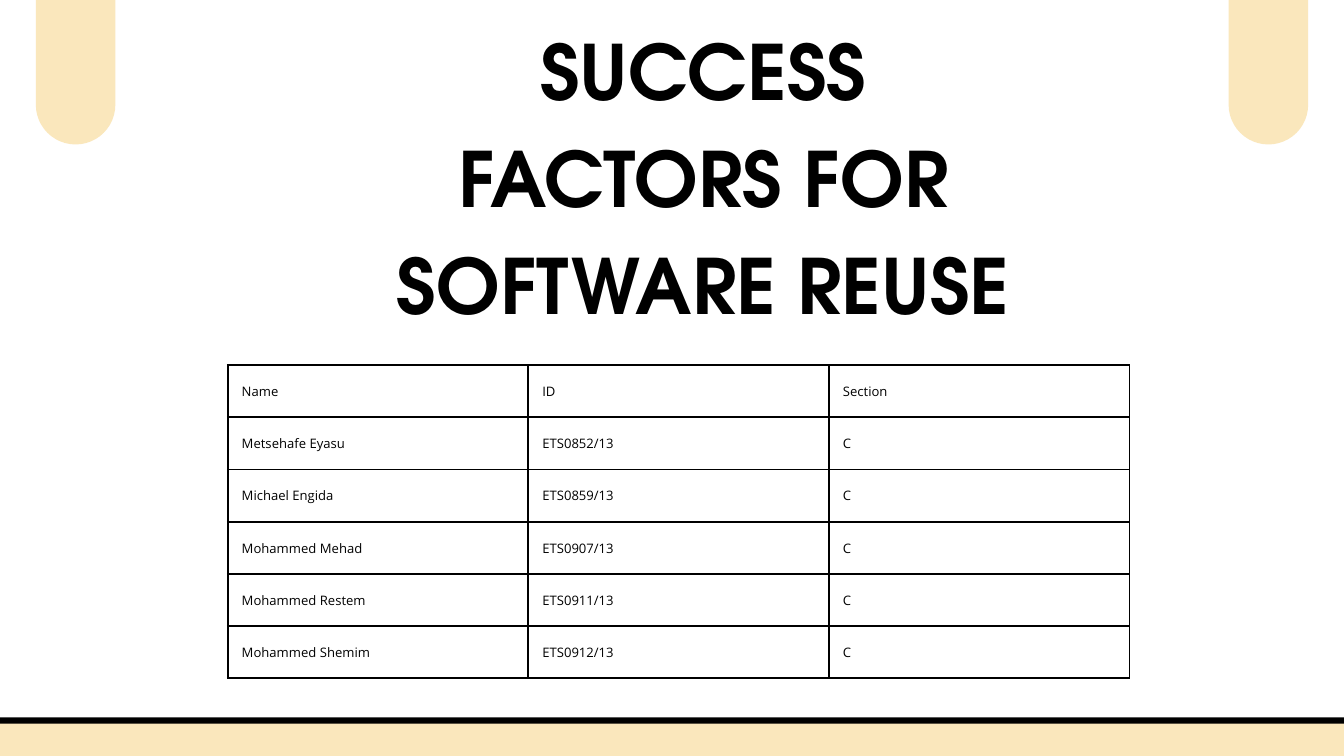
from lxml import etree
from pptx import Presentation
from pptx.dml.color import RGBColor
from pptx.enum.shapes import MSO_SHAPE
from pptx.enum.text import MSO_ANCHOR, PP_ALIGN
from pptx.oxml.ns import qn
from pptx.util import Pt

ROUNDED = MSO_SHAPE.ROUNDED_RECTANGLE
MIDDLE = MSO_ANCHOR.MIDDLE
LEFT, CENTER = PP_ALIGN.LEFT, PP_ALIGN.CENTER

CREAM, BLACK, WHITE = "FAE7BC", "000000", "FFFFFF"
TITLE_FONT, BODY_FONT = "TeX Gyre Adventor", "Open Sans"

MEMBERS = [
    ("Name", "ID", "Section"),
    ("Metsehafe Eyasu", "ETS0852/13", "C"),
    ("Michael Engida", "ETS0859/13", "C"),
    ("Mohammed Mehad", "ETS0907/13", "C"),
    ("Mohammed Restem", "ETS0911/13", "C"),
    ("Mohammed Shemim", "ETS0912/13", "C"),
]


def color(value):
    return RGBColor.from_string(value)


def write_text(frame, text, font, size, spacing, bold=False, align=LEFT):
    para = frame.paragraphs[0]
    para.alignment = align
    para.line_spacing = Pt(spacing)
    span = para.add_run()
    span.text = text
    span.font.name = font
    span.font.size = Pt(size)
    span.font.bold = bold
    span.font.color.rgb = color(BLACK)


def add_rounded_bar(page, box, rounding, line_width=0):
    bar = page.shapes.add_shape(ROUNDED, *map(Pt, box))
    bar.adjustments[0] = rounding
    bar.shadow.inherit = False
    bar.fill.solid()
    bar.fill.fore_color.rgb = color(CREAM)
    if line_width:
        bar.line.color.rgb = color(BLACK)
        bar.line.width = Pt(line_width)
    else:
        bar.line.fill.background()


def add_cell_borders(cell, width):
    properties = cell._tc.get_or_add_tcPr()
    for index, side in enumerate(("a:lnL", "a:lnR", "a:lnT", "a:lnB")):
        border = etree.Element(qn(side), w=str(Pt(width)))
        fill = etree.SubElement(border, qn("a:solidFill"))
        etree.SubElement(fill, qn("a:srgbClr"), val=BLACK)
        properties.insert(index, border)


def add_member_table(page, box, inset=15):
    rows, columns = len(MEMBERS), len(MEMBERS[0])
    left, top, width, height = box
    frame = page.shapes.add_table(rows, columns, *map(Pt, box))
    table = frame.table
    for column in table.columns:
        column.width = Pt(width / columns)
    for row, values in zip(table.rows, MEMBERS):
        row.height = Pt(height / rows)
        for cell, value in zip(row.cells, values):
            cell.margin_left = cell.margin_right = Pt(inset)
            cell.margin_top = cell.margin_bottom = Pt(inset)
            cell.vertical_anchor = MIDDLE
            cell.fill.solid()
            cell.fill.fore_color.rgb = color(WHITE)
            add_cell_borders(cell, 2.25)
            write_text(cell.text_frame, value, BODY_FONT, 14, 19.6)


def add_title(page, box):
    frame = page.shapes.add_textbox(*map(Pt, box)).text_frame
    frame.word_wrap = True
    frame.margin_left = frame.margin_right = 0
    frame.margin_top = frame.margin_bottom = 0
    write_text(frame, "SUCCESS FACTORS FOR SOFTWARE REUSE", TITLE_FONT,
               81.7, 114.4, bold=True, align=CENTER)


def main():
    deck = Presentation()
    deck.slide_width, deck.slide_height = Pt(1440), Pt(810)
    page = deck.slides.add_slide(deck.slide_layouts[6])
    page.background.fill.solid()
    page.background.fill.fore_color.rgb = color(WHITE)

    for left in (38.4, 1316.4):
        add_rounded_bar(page, (left, -77.8, 85.2, 232.6), rounding=0.5)
    add_rounded_bar(page, (-41.8, 772, 1523.6, 64.8), rounding=0.1,
                    line_width=6.75)
    add_member_table(page, (244, 391.2, 966.3, 335.4))
    add_title(page, (418.3, 10.1, 670.3, 338.4))
    deck.save("out.pptx")


if __name__ == "__main__":
    main()
